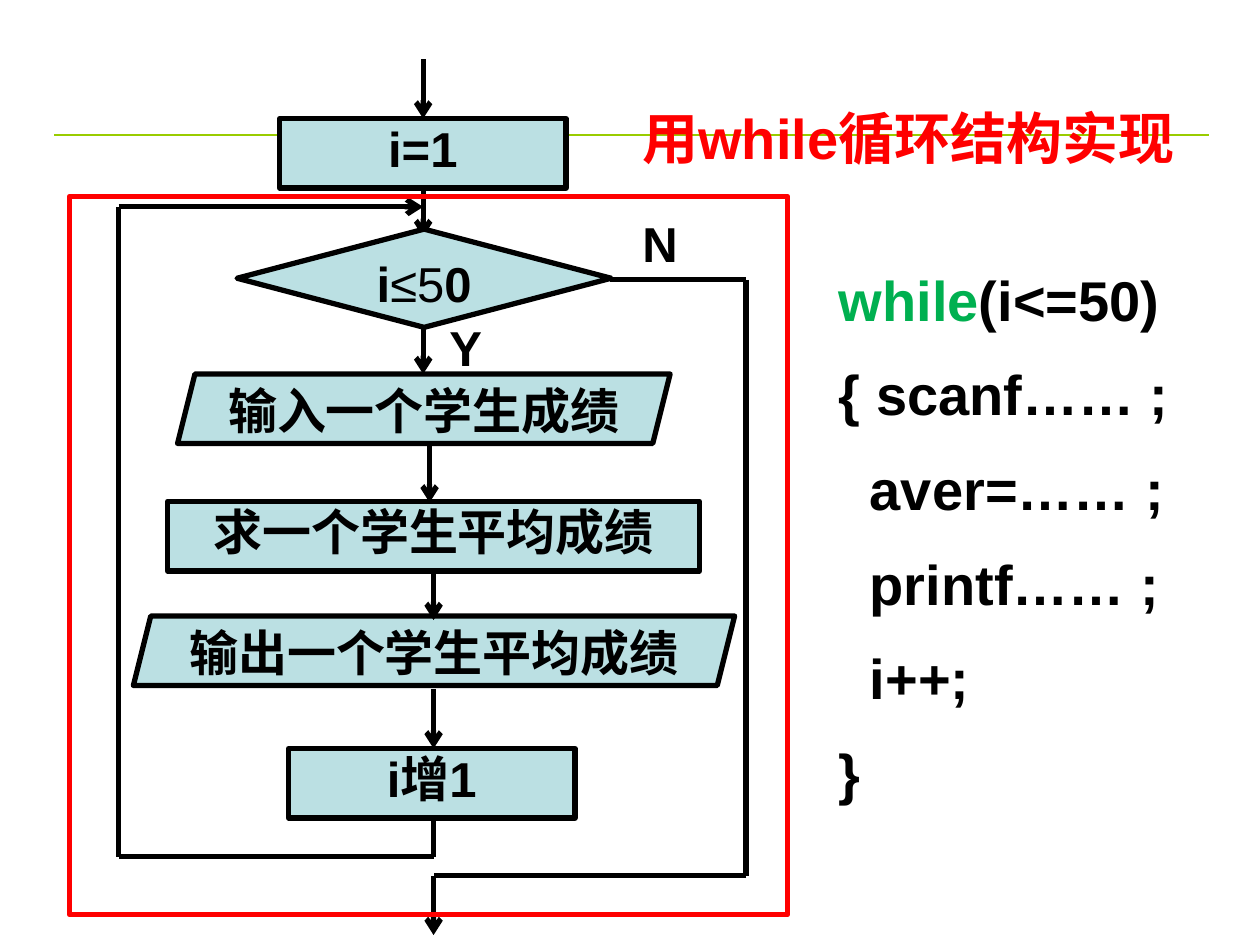
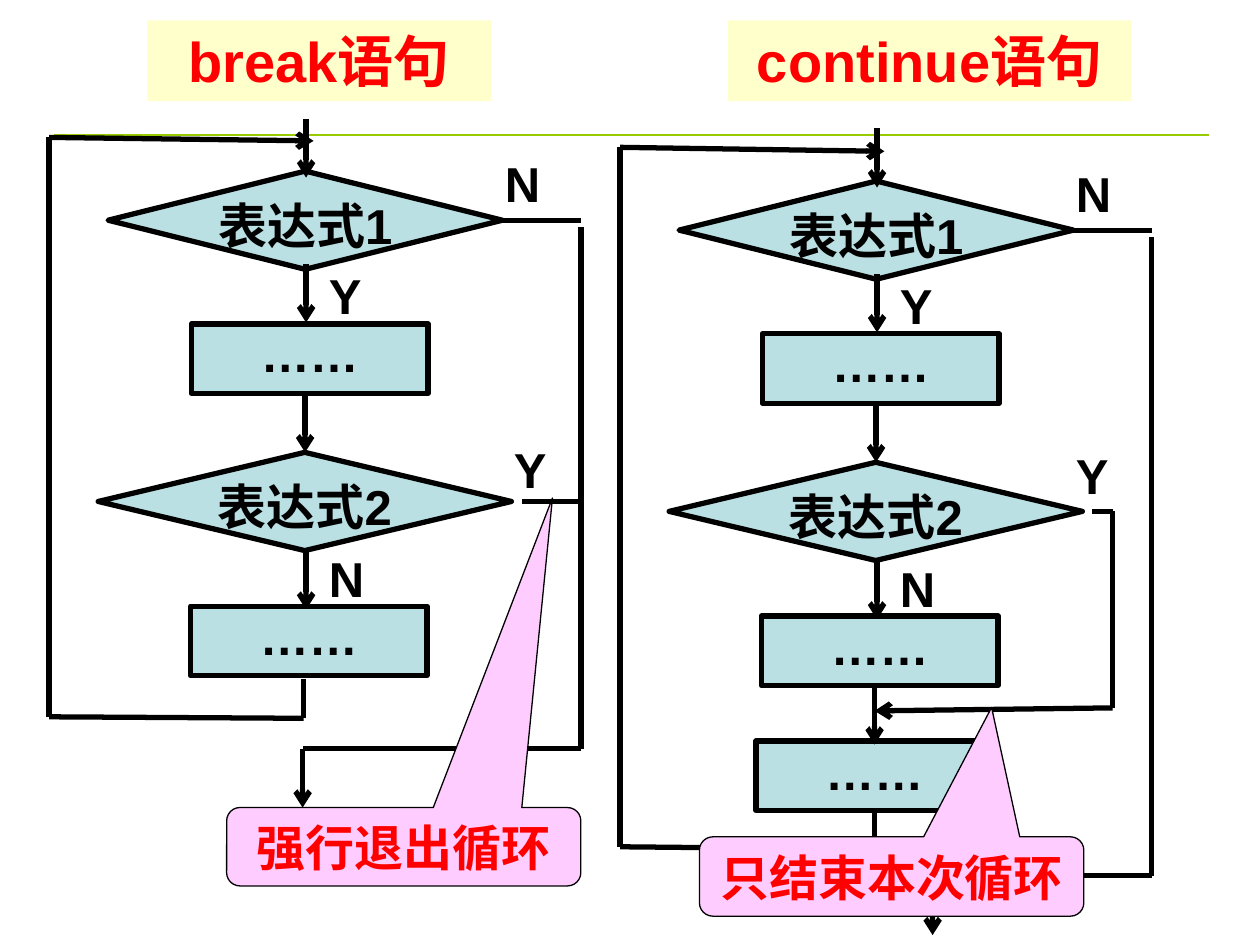
"""Build two flowchart slides: a while loop, and break compared with continue."""
from dataclasses import dataclass

from lxml import etree
from pptx import Presentation
from pptx import util as u
from pptx.dml.color import RGBColor
from pptx.enum import shapes, text
from pptx.oxml import ns


@dataclass(frozen=True)
class Theme:
    font: str = "Arial"
    ink: str = "000000"
    red: str = "FF0000"
    keyword: str = "00B050"
    node: str = "BBE0E3"
    banner: str = "FFFFCC"
    callout: str = "FFCCFF"
    rule: str = "99CC00"
    body: int = 28
    title: int = 32
    thick: float = 3
    rule_width: float = 1.5
    thin: float = 0.75


T = Theme()
NODE_H, DECISION_H, LABEL_W, LABEL_H, TITLE_H = 1.4, 1.98, 1.4, 1.45, 1.63
MARGINS = (0.25, 0.13, 0.25, 0.13)
CONTINUE_SHIFT = (11.51, 0.2)
RULE = [(1.09, 2.72), (24.38, 2.72)]

WHILE_FLOW = [
    ("arrow", (8.53, 1.19), (8.53, 2.39)),
    ("process", "i=1", 5.64, 2.39, 5.77),
    ("arrow", (8.53, 3.76), (8.53, 4.78)),
    ("decision", [("i", True), ("≤5", False), ("0", True)], 4.78, 4.62, 7.54),
    ("data", "输入一个学生成绩", 3.58, 7.54, 9.93),
    ("arrow", (8.53, 6.55), (8.53, 7.54)),
    ("arrow", (8.66, 8.94), (8.66, 10.13)),
    ("process", "求一个学生平均成绩", 3.38, 10.11, 10.72),
    ("data", "输出一个学生平均成绩", 2.69, 12.42, 12.12),
    ("arrow", (8.74, 11.51), (8.74, 12.5)),
    ("arrow", (8.74, 13.89), (8.74, 15.09)),
    ("process", "i增1", 5.82, 15.09, 5.77),
    ("arrow", (8.74, 16.46), (8.74, 17.27), (2.39, 17.27), (2.39, 4.17), (8.53, 4.17)),
    ("arrow", (12.29, 5.64), (15.04, 5.64), (15.04, 17.65), (8.74, 17.65), (8.74, 18.85)),
    ("label", "Y", 8.81, 6.27),
    ("label", "N", 12.7, 4.17),
]
WHILE_TITLE = ("用while循环结构实现", 12.7, 1.96, 12.12)
LOOP_FRAME = (1.4, 3.96, 14.48, 14.48)
CODE_BOX = (16.66, 4.95, 7.54, 11.71)
CODE = [
    [("while", T.keyword), ("(i<=50)", T.ink)],
    [("{ scanf…… ;", T.ink)],
    [("  aver=…… ;", T.ink)],
    [("  printf…… ;", T.ink)],
    [("  i++;", T.ink)],
    [("}", T.ink)],
]

SHARED_FLOW = [
    ("line", (11.71, 4.45), (10.13, 4.45)),
    ("label", "N", 9.93, 2.97),
    ("decision", "表达式1", 2.18, 3.45, 7.95),
    ("arrow", (6.17, 2.39), (6.17, 3.58)),
    ("label", "Y", 6.38, 5.23),
    ("arrow", (6.17, 5.33), (6.17, 6.5)),
    ("decision", "表达式2", 1.98, 9.12, 8.33),
    ("label", "N", 6.38, 10.92),
    ("arrow", (6.17, 11.13), (6.17, 12.29)),
    ("process", "……", 3.86, 6.53, 4.77),
    ("arrow", (6.15, 7.95), (6.15, 9.12)),
    ("process", "……", 3.84, 12.22, 4.77),
]
BREAK_FLOW = [
    ("arrow", (11.71, 4.57), (11.71, 15.09), (6.1, 15.09), (6.1, 16.28)),
    ("arrow", (6.12, 13.69), (6.12, 14.48), (0.99, 14.45), (0.99, 2.77), (6.32, 2.84)),
    ("line", (11.71, 10.11), (10.52, 10.11)),
    ("label", "Y", 10.11, 8.74),
]
CONTINUE_FLOW = [
    ("line", (23.22, 4.78), (23.22, 17.65), (17.6, 17.65)),
    ("arrow", (18.8, 17.65), (18.8, 18.85)),
    ("process", "……", 15.24, 14.94, 4.77),
    ("arrow", (17.63, 13.82), (17.63, 15.01)),
    ("arrow", (17.63, 16.31), (17.63, 17.12), (12.5, 17.07), (12.5, 2.97), (17.83, 3.05)),
    ("arrow", (22.02, 10.31), (22.43, 10.31), (22.43, 14.27), (17.63, 14.33)),
    ("label", "Y", 21.44, 8.86),
]
BANNERS = [("break语句", 2.97, 0.41, 6.93), ("continue语句", 14.68, 0.41, 8.13)]
CALLOUTS = [
    ("强行退出循环", (4.57, 16.28, 7.14, 1.58), (0.42, -4.45, 0.17)),
    ("只结束本次循环", (14.1, 16.87, 7.75, 1.6), (0.26, -2.13, 0.17)),
]

NODES = {
    "process": (shapes.MSO_SHAPE.FLOWCHART_PROCESS, NODE_H),
    "decision": (shapes.MSO_SHAPE.FLOWCHART_DECISION, DECISION_H),
    "data": (shapes.MSO_SHAPE.PARALLELOGRAM, NODE_H),
}


def rgb(value):
    return RGBColor.from_string(value)


def cm(values):
    return [u.Cm(v) for v in values]


def write(sp, content, size, color, align, wrap=True, margins=MARGINS):
    tf = sp.text_frame
    tf.word_wrap = wrap
    tf.vertical_anchor = text.MSO_ANCHOR.TOP
    tf.margin_left, tf.margin_top, tf.margin_right, tf.margin_bottom = cm(margins)
    p = tf.paragraphs[0]
    p.alignment = align
    p.font.name, p.font.size, p.font.color.rgb = T.font, u.Pt(size), rgb(color)
    if isinstance(content, str):
        p.font.bold = True
        p.add_run().text = content
        return
    for words, bold in content:
        r = p.add_run()
        r.text, r.font.bold = words, bold


def shape(s, preset, box, fill=None, line=None, width=T.thick):
    sp = s.shapes.add_shape(preset, *cm(box))
    sp.shadow.inherit = False
    if fill:
        sp.fill.solid()
        sp.fill.fore_color.rgb = rgb(fill)
    else:
        sp.fill.background()
    if line:
        sp.line.color.rgb = rgb(line)
        sp.line.width = u.Pt(width)
    else:
        sp.line.fill.background()
    return sp


def route(s, points, arrow=False, color=T.ink, width=T.thick):
    for start, end in zip(points, points[1:]):
        c = s.shapes.add_connector(shapes.MSO_CONNECTOR.STRAIGHT, *cm(start + end))
        c.line.color.rgb = rgb(color)
        c.line.width = u.Pt(width)
        etree.SubElement(c._element.spPr, ns.qn("a:effectLst"))
    if arrow:
        etree.SubElement(c.line._get_or_add_ln(), ns.qn("a:tailEnd"), type="arrow")


def textbox(s, words, box, size=T.body, color=T.ink):
    sp = s.shapes.add_textbox(*cm(box))
    write(sp, words, size, color, text.PP_ALIGN.LEFT)


def flow(s, items, shift=(0, 0)):
    dx, dy = shift
    for kind, *args in items:
        if kind in ("line", "arrow"):
            route(s, [(x + dx, y + dy) for x, y in args], kind == "arrow")
            continue
        words, x, y, *width = args
        x, y = x + dx, y + dy
        if kind == "label":
            textbox(s, words, (x, y, LABEL_W, LABEL_H))
        else:
            preset, height = NODES[kind]
            sp = shape(s, preset, (x, y, width[0], height), T.node, T.ink)
            write(sp, words, T.body, T.ink, text.PP_ALIGN.CENTER, False, (0, 0, 0, 0))


def code(s):
    tf = s.shapes.add_textbox(*cm(CODE_BOX)).text_frame
    tf.word_wrap = True
    for i, runs in enumerate(CODE):
        p = tf.add_paragraph() if i else tf.paragraphs[0]
        p.line_spacing = 1.2
        if i:
            p.space_before = u.Pt(8)
        pr = p._p.get_or_add_pPr()
        pr.set("marL", str(u.Cm(0.95)))
        pr.set("indent", str(-u.Cm(0.95)))
        p.font.name, p.font.size, p.font.bold = T.font, u.Pt(T.title), True
        for words, color in runs:
            r = p.add_run()
            r.text, r.font.color.rgb = words, rgb(color)


def new_slide(prs):
    s = prs.slides.add_slide(prs.slide_layouts[6])
    route(s, RULE, color=T.rule, width=T.rule_width)
    return s


def while_slide(prs):
    s = new_slide(prs)
    flow(s, WHILE_FLOW)
    words, *place = WHILE_TITLE
    textbox(s, words, (*place, TITLE_H), T.title, T.red)
    shape(s, shapes.MSO_SHAPE.RECTANGLE, LOOP_FRAME, line=T.red)
    code(s)


def jump_slide(prs):
    s = new_slide(prs)
    flow(s, SHARED_FLOW)
    flow(s, BREAK_FLOW)
    flow(s, SHARED_FLOW, CONTINUE_SHIFT)
    flow(s, CONTINUE_FLOW)
    for words, *place in BANNERS:
        sp = shape(s, shapes.MSO_SHAPE.RECTANGLE, (*place, TITLE_H), T.banner)
        write(sp, words, T.title, T.red, text.PP_ALIGN.CENTER)
    for words, box, adjustments in CALLOUTS:
        preset = shapes.MSO_SHAPE.ROUNDED_RECTANGULAR_CALLOUT
        sp = shape(s, preset, box, T.callout, T.ink, T.thin)
        for i, value in enumerate(adjustments):
            sp.adjustments[i] = value
        write(sp, words, T.body, T.red, text.PP_ALIGN.CENTER, False)


def main():
    prs = Presentation()
    prs.slide_width, prs.slide_height = cm((25.4, 19.05))
    while_slide(prs)
    jump_slide(prs)
    prs.save("out.pptx")


if __name__ == "__main__":
    main()
